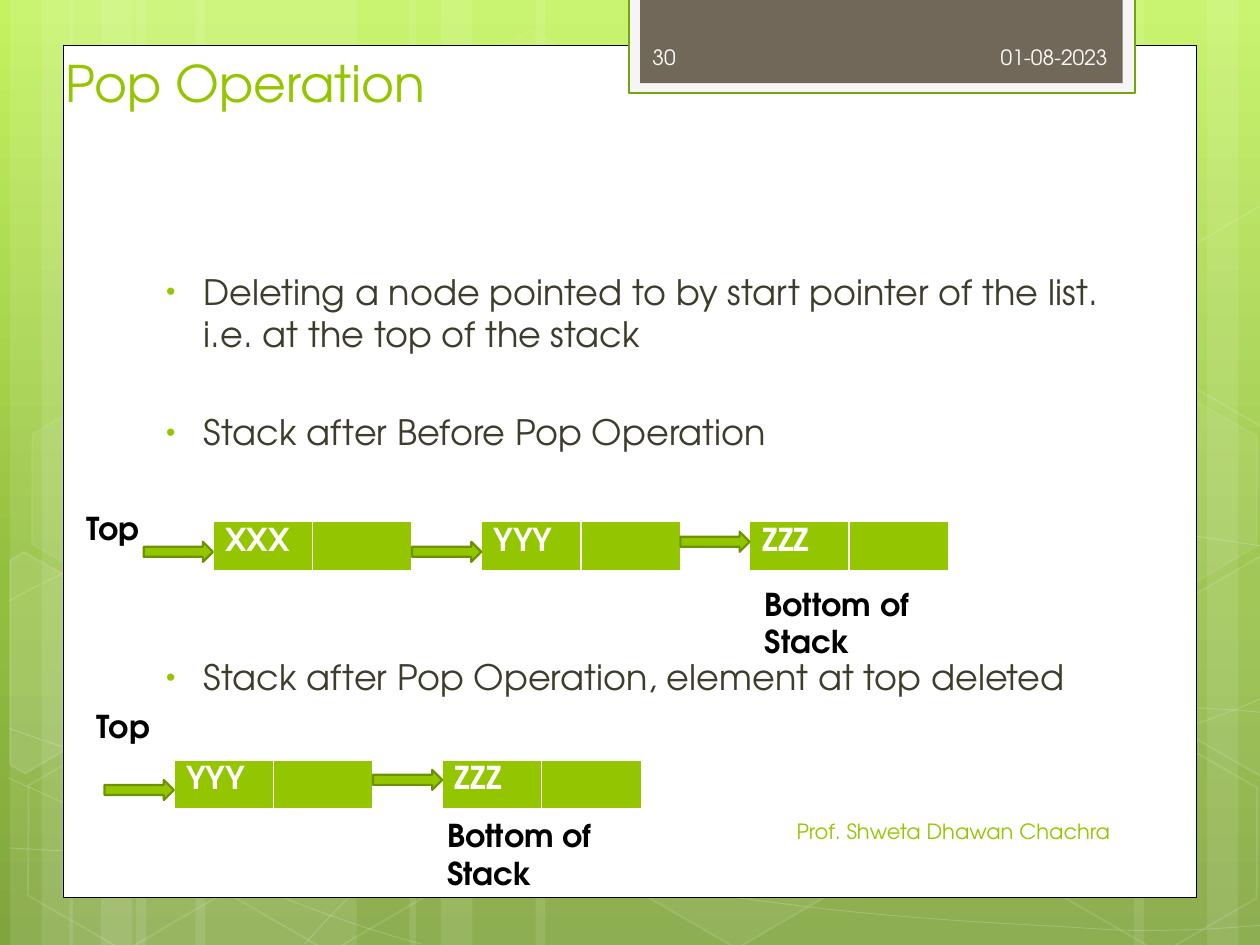
from copy import deepcopy
from lxml.etree import SubElement
from pptx import Presentation
from pptx.dml.color import RGBColor
from pptx.enum.shapes import MSO_SHAPE as Shape
from pptx.enum.text import MSO_ANCHOR as Anchor, MSO_AUTO_SIZE as AutoSize, PP_ALIGN as Align
from pptx.oxml.ns import qn
from pptx.util import Inches, Pt

FONT = "TeX Gyre Adventor"
WHITE = RGBColor(0xFF, 0xFF, 0xFF)
BLACK = RGBColor(0, 0, 0)
GREEN = RGBColor(0x94, 0xC6, 0x00)
DARK_GREEN = RGBColor(0x6D, 0x92, 0x00)
FRAME_GREEN = RGBColor(0x74, 0xA5, 0x10)
PALE_GREY = RGBColor(0xF5, 0xF5, 0xF5)
TAUPE = RGBColor(0x71, 0x68, 0x5A)
OLIVE = RGBColor(0x3E, 0x3D, 0x2D)
NEAR_WHITE = RGBColor(0xFE, 0xFE, 0xFE)

SKY = [(0, RGBColor(0xC3, 0xF3, 0x5F)), (0.62, RGBColor(0x93, 0xBF, 0x3F)),
       (1, RGBColor(0x81, 0xA5, 0x3E))]
BANDS = [(1.08, 1.75), (0.08, 0.5), (0.33, 0.83), (1.55, 1.75), (0.55, 0.5), (0.8, 0.83),
         (7.33, 1.75), (9.58, 0.5), (9, 0.83), (4.25, 3.08), (3.25, 0.5), (3.5, 0.83)]
CURVES = [
    [[(0.07, 6.73)], [(0.61, 6.76), (1.15, 6.79), (1.9, 6.78)],
     [(2.65, 6.77), (3.58, 6.75), (4.58, 6.65)], [(5.58, 6.55), (7, 6.36), (7.92, 6.17)],
     [(8.83, 5.98), (9.77, 5.68), (10.07, 5.51)]],
    [[(0.07, 4.77)], [(0.36, 4.61), (0.65, 4.46), (1.21, 4.31)],
     [(1.78, 4.16), (2.59, 3.94), (3.47, 3.87)], [(4.36, 3.8), (5.44, 3.79), (6.54, 3.87)],
     [(7.64, 3.95), (9.47, 4.26), (10.07, 4.34)]],
    [[(0.06, 6.17)], [(1.27, 6.72), (2.47, 7.27), (3.34, 7.49)]],
    [[(0.07, 5.78)], [(0.38, 5.89), (0.7, 6), (1.28, 6.16)],
     [(1.86, 6.31), (2.73, 6.56), (3.57, 6.73)], [(4.4, 6.9), (5.45, 7.08), (6.28, 7.18)],
     [(7.11, 7.29), (8, 7.33), (8.53, 7.36)], [(9.05, 7.4), (9.19, 7.38), (9.45, 7.38)],
     [(9.71, 7.37), (9.89, 7.35), (10.07, 7.34)]],
    [[(2.42, 7.49)], [(2.6, 7.29), (2.78, 7.09), (3.02, 6.91)],
     [(3.26, 6.73), (3.6, 6.53), (3.88, 6.39)], [(4.16, 6.25), (4.33, 6.19), (4.7, 6.09)],
     [(5.06, 5.99), (5.73, 5.85), (6.08, 5.78)], [(6.44, 5.71), (6.49, 5.71), (6.8, 5.69)],
     [(7.11, 5.66), (7.6, 5.63), (7.94, 5.62)], [(8.29, 5.61), (8.86, 5.62), (8.86, 5.62)],
     [(9.53, 5.62)], [(9.71, 5.63), (9.88, 5.64), (9.97, 5.65)],
     [(10.06, 5.66), (10.03, 5.65), (10.06, 5.66)]],
]
HEXAGONS = [(3.34, 0.36, 4, 8), (4.97, 5.89, 6, 12), (0.11, 5.91, 0, 12), (0.14, 3.12, 7, 8),
            (1.74, 5.92, 0, 12), (7.53, 4.53, 10, 12), (8.34, 5.93, 0, 12), (8.34, 3.14, 7, 8)]
CUT_HEXAGONS = [
    ([(0.08, 4.45), (0.19, 4.38), (0.96, 4.82), (0.95, 5.7), (0.2, 6.14), (0.08, 6.07)], 10),
    ([(9.26, 4.85), (10.01, 4.41), (10.09, 4.46), (10.09, 6.13), (10.02, 6.17), (9.26, 5.73)], 4),
    ([(9.26, 2.07), (10.01, 1.63), (10.1, 1.68), (10.09, 3.35), (10.02, 3.39), (9.26, 2.95)], 0),
]
PANELS = [((0.5, 0.36, 9, 6.76), WHITE, BLACK, 0.5),
          ((4.99, -0.02, 4.02, 0.76), PALE_GREY, FRAME_GREEN, 1.25),
          ((5.08, -0.02, 3.83, 0.68), TAUPE, None, 0)]
BULLETS = [("Deleting a node pointed to by start pointer of the list. i.e. at the top of the stack", 0),
           ("Stack after Before Pop Operation", 32),
           ("Stack after Pop Operation, element at top deleted", 116)]
CHAINS = [(1.69, 4.14, ["XXX", "YYY", "ZZZ"]), (1.38, 6.03, ["YYY", "ZZZ"])]
NODE_WIDTH, NODE_HEIGHT, ARROW_WIDTH, ARROW_HEIGHT = 1.58, 0.39, 0.55, 0.16
LABELS = [("Top", (0.59, 3.99, 0.71, 0.4)), ("Top", (0.67, 5.56, 0.71, 0.4)),
          ("Bottom of Stack", (5.97, 4.59, 1.63, 0.71)),
          ("Bottom of Stack", (3.45, 6.43, 1.63, 0.71))]
FOOTERS = [("01-08-2023", (6.56, 0.25, 2.33, 0.4), NEAR_WHITE, Align.RIGHT),
           ("Prof. Shweta Dhawan Chachra", (5.08, 6.4, 3.83, 0.4), GREEN, Align.RIGHT),
           ("30", (5.08, 0.25, 1.46, 0.4), NEAR_WHITE, Align.LEFT)]


def paint(fill, color, alpha=100):
    if color is None or alpha == 0:
        fill.background()
        return
    fill.solid()
    fill.fore_color.rgb = color
    if alpha < 100:
        tint = fill._xPr.find(qn("a:solidFill"))[0]
        SubElement(tint, qn("a:alpha"), val=str(alpha * 1000))


def style(shape, color, alpha=100, line=None, width=0, line_alpha=100):
    shape.shadow.inherit = False
    paint(shape.fill, color, alpha)
    paint(shape.line.fill, line, line_alpha)
    if line is not None:
        shape.line.width = Pt(width)
    return shape


def add_shape(kind, place):
    return page.shapes.add_shape(kind, *map(Inches, place))


def add_outline(points, close):
    points = [(Inches(x), Inches(y)) for x, y in points]
    builder = page.shapes.build_freeform(*points[0])
    builder.add_line_segments(points[1:], close=close)
    return builder.convert_to_shape()


def add_curve(segments):
    shape = add_outline([point for segment in segments for point in segment], False)
    steps = iter(shape._element.findall(".//" + qn("a:lnTo")))
    for segment in segments[1:]:
        first, *others = [next(steps) for _ in segment]
        if others:
            first.tag = qn("a:cubicBezTo")
        for other in others:
            first.append(other[0])
            other.getparent().remove(other)
    return shape


def write(para, text, size, color, bold=False):
    para.text = text
    font = para.runs[0].font
    font.name, font.size, font.bold = FONT, Pt(size), bold
    font.color.rgb = color


def add_text(text, place, size, color, bold=False, align=Align.LEFT, anchor=Anchor.TOP):
    box = page.shapes.add_textbox(*map(Inches, place))
    frame = box.text_frame
    frame.word_wrap, frame.vertical_anchor = True, anchor
    write(frame.paragraphs[0], text, size, color, bold)
    frame.paragraphs[0].alignment = align
    return frame


def add_bullet(para):
    props = para._p.get_or_add_pPr()
    props.set("marL", str(Inches(0.38)))
    props.set("indent", str(Inches(-0.3)))
    SubElement(SubElement(props, qn("a:buClr")), qn("a:srgbClr"), val=str(GREEN))
    SubElement(props, qn("a:buSzPct"), val="76000")
    SubElement(props, qn("a:buFont"), typeface="Arial")
    SubElement(props, qn("a:buChar"), char="•")


def add_node(text, left, top):
    place = map(Inches, (left, top, NODE_WIDTH, NODE_HEIGHT))
    table = page.shapes.add_table(1, 2, *place).table
    table.first_row = table.horz_banding = False
    for cell in table.iter_cells():
        props = cell._tc.get_or_add_tcPr()
        for side, width in (("lnL", 1), ("lnR", 1), ("lnT", 1), ("lnB", 3)):
            edge = SubElement(props, qn("a:" + side), w=str(Pt(width)))
            SubElement(SubElement(edge, qn("a:solidFill")), qn("a:srgbClr"), val=str(WHITE))
        paint(cell.fill, GREEN)
    write(table.cell(0, 0).text_frame.paragraphs[0], text, 18, WHITE, True)


deck = Presentation()
deck.slide_width, deck.slide_height = Inches(10), Inches(7.5)
page = deck.slides.add_slide(deck.slide_layouts[6])

sky = page.background.fill
sky.gradient()
sky.gradient_angle = 270
stops = page._element.find(".//" + qn("a:gsLst"))
stops.append(deepcopy(stops[-1]))
for stop, (position, color) in zip(sky.gradient_stops, SKY):
    stop.position, stop.color.rgb = position, color

for left, width in BANDS:
    style(add_shape(Shape.RECTANGLE, (left, 0, width, 7.5)), WHITE, 10)
for segments in CURVES:
    style(add_curve(segments), None, 0, WHITE, 0.5, 20)
for left, top, alpha, line_alpha in HEXAGONS:
    hexagon = style(add_shape(Shape.HEXAGON, (left, top, 1.75, 1.52)),
                    WHITE, alpha, WHITE, 1, line_alpha)
    hexagon.adjustments[0] = 0.285
    hexagon.rotation = 30
for points, alpha in CUT_HEXAGONS:
    style(add_outline(points, True), WHITE, alpha, WHITE, 1, 12)
for place, color, line, width in PANELS:
    style(add_shape(Shape.RECTANGLE, place), color, 100, line, width)

add_text("Pop Operation", (0.42, 0.36, 7.68, 0.58), 28.8, GREEN, anchor=Anchor.BOTTOM)
body = add_text(BULLETS[0][0], (1.14, 2.1, 7.72, 3.84), 20, OLIVE)
for text, gap in BULLETS[1:]:
    para = body.add_paragraph()
    write(para, text, 20, OLIVE)
    para.space_before = Pt(gap)
for para in body.paragraphs:
    add_bullet(para)

for start, top, names in CHAINS:
    for index, name in enumerate(names):
        left = start + index * (NODE_WIDTH + ARROW_WIDTH)
        drop = 0.08 if index == len(names) - 1 else 0.16
        add_node(name, left, top)
        arrow = add_shape(Shape.RIGHT_ARROW,
                          (left - ARROW_WIDTH, top + drop, ARROW_WIDTH, ARROW_HEIGHT))
        style(arrow, GREEN, 100, DARK_GREEN, 1.25)

for text, place in LABELS:
    add_text(text, place, 18, BLACK, True).auto_size = AutoSize.SHAPE_TO_FIT_TEXT
for text, place, color, align in FOOTERS:
    add_text(text, place, 12, color, align=align, anchor=Anchor.MIDDLE)

deck.save("out.pptx")
